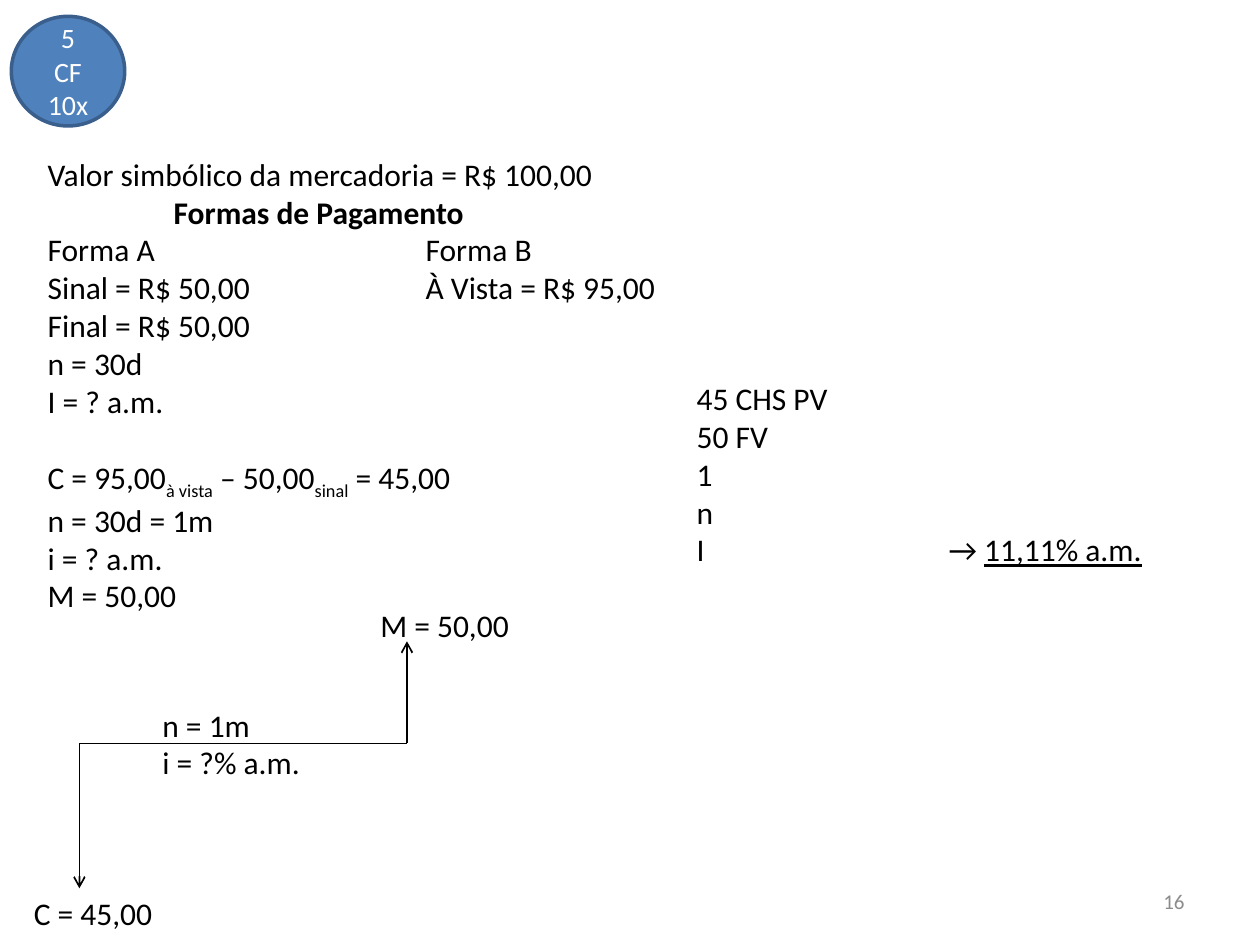
from dataclasses import dataclass

from lxml import etree
from pptx import Presentation
from pptx.dml.color import RGBColor
from pptx.enum.shapes import MSO_CONNECTOR, MSO_SHAPE
from pptx.enum.text import MSO_ANCHOR, PP_ALIGN
from pptx.oxml.ns import qn
from pptx.util import Pt

STRAIGHT = MSO_CONNECTOR.STRAIGHT
ELLIPSE = MSO_SHAPE.OVAL
LEFT, CENTER, RIGHT = PP_ALIGN.LEFT, PP_ALIGN.CENTER, PP_ALIGN.RIGHT
TOP, MIDDLE = MSO_ANCHOR.TOP, MSO_ANCHOR.MIDDLE

EMU_PER_PX = 9144  # 100 px to the inch
FONT = "Calibri"
COLORS = {
    "text": "000000",
    "badge": "4F81BD",
    "badge_line": "3A5F8C",
    "badge_text": "FFFFFF",
    "number": "8C8C8C",
}


@dataclass(frozen=True)
class Span:
    text: str
    bold: bool = False
    underline: bool = False
    subscript: bool = False


@dataclass(frozen=True)
class Line:
    spans: tuple[Span, ...]
    tab: int = 0
    space_before: int = 0


@dataclass(frozen=True)
class TextBlock:
    box: tuple[int, int, int, int]
    lines: tuple[Line, ...]
    size: int = 18
    color: str = "text"
    align: PP_ALIGN = LEFT
    anchor: MSO_ANCHOR = TOP
    wrap: bool = False


@dataclass(frozen=True)
class FlowLine:
    start: tuple[int, int]
    end: tuple[int, int]
    arrow: bool = False


def px(value: int) -> int:
    return value * EMU_PER_PX


def rgb(name: str) -> RGBColor:
    return RGBColor.from_string(COLORS[name])


def plain(*texts: str) -> tuple[Line, ...]:
    return tuple(Line((Span(text),)) for text in texts)


def tabbed(tab: int, *spans: Span) -> Line:
    return Line(spans, tab=tab)


def write_text(text_frame, block: TextBlock) -> None:
    text_frame.word_wrap = block.wrap
    text_frame.vertical_anchor = block.anchor
    for index, line in enumerate(block.lines):
        paragraph = text_frame.add_paragraph() if index else text_frame.paragraphs[0]
        paragraph.alignment = block.align
        if line.space_before:
            paragraph.space_before = Pt(line.space_before)
        if line.tab:
            properties = paragraph._p.get_or_add_pPr()
            tab_list = etree.SubElement(properties, qn("a:tabLst"))
            etree.SubElement(tab_list, qn("a:tab"), pos=str(px(line.tab)), algn="l")
        for span in line.spans:
            run = paragraph.add_run()
            run.text = span.text
            font = run.font
            font.name, font.size = FONT, Pt(block.size)
            font.color.rgb = rgb(block.color)
            font.bold, font.underline = span.bold, span.underline
            if span.subscript:
                run._r.get_or_add_rPr().set("baseline", "-25000")


def add_text(slide, block: TextBlock) -> None:
    shape = slide.shapes.add_textbox(*map(px, block.box))
    write_text(shape.text_frame, block)


def add_badge(slide, block: TextBlock) -> None:
    shape = slide.shapes.add_shape(ELLIPSE, *map(px, block.box))
    shape.shadow.inherit = False
    shape.fill.solid()
    shape.fill.fore_color.rgb = rgb("badge")
    shape.line.color.rgb = rgb("badge_line")
    shape.line.width = Pt(2)
    write_text(shape.text_frame, block)


def add_flow_line(slide, flow: FlowLine) -> None:
    connector = slide.shapes.add_connector(STRAIGHT, *map(px, flow.start + flow.end))
    connector.line.color.rgb = rgb("text")
    connector.line.width = Pt(1)
    if flow.arrow:
        etree.SubElement(connector.line._get_or_add_ln(), qn("a:tailEnd"), type="arrow")
    etree.SubElement(connector._element.spPr, qn("a:effectLst"))


# Problem statement and data
PROBLEM = TextBlock((28, 118, 507, 374), (
    *plain("Valor simbólico da mercadoria = R$ 100,00"),
    tabbed(100, Span("\tFormas de Pagamento", bold=True)),
    tabbed(300, Span("Forma A\tForma B")),
    tabbed(300, Span("Sinal = R$ 50,00\tÀ Vista = R$ 95,00")),
    *plain("Final = R$ 50,00", "n = 30d", "I = ? a.m."),
    Line((
        Span("C = 95,00"),
        Span("à vista", subscript=True),
        Span(" – 50,00"),
        Span("sinal", subscript=True),
        Span(" = 45,00"),
    ), space_before=22),
    *plain("n = 30d = 1m", "i = ? a.m.", "M = 50,00"),
))

# Calculator keystrokes
KEYSTROKES = TextBlock((543, 296, 379, 162), (
    *plain("45 CHS PV", "50 FV", "1", "n"),
    tabbed(200, Span("I\t→ "), Span("11,11% a.m.", underline=True)),
))

# Cash flow diagram
FLOW_START, FLOW_END = (63, 590), (323, 590)
FLOW_LINES = (
    FlowLine(FLOW_START, (63, 705), arrow=True),
    FlowLine(FLOW_START, FLOW_END),
    FlowLine(FLOW_END, (323, 509), arrow=True),
)
FLOW_LABELS = (
    TextBlock((17, 705, 115, 40), plain("C = 45,00")),
    TextBlock((119, 555, 131, 71), plain("n = 1m", "i = ?% a.m.")),
    TextBlock((292, 476, 123, 40), plain("M = 50,00")),
)

# Badge and slide number
BADGE = TextBlock((9, 13, 90, 87), plain("5", "CF", "10x"), size=16,
                  color="badge_text", align=CENTER, anchor=MIDDLE, wrap=True)
NUMBER = TextBlock((717, 695, 233, 40), plain("16"), size=12,
                   color="number", align=RIGHT, anchor=MIDDLE, wrap=True)


def main() -> None:
    presentation = Presentation()
    presentation.slide_width, presentation.slide_height = px(1000), px(750)
    slide = presentation.slides.add_slide(presentation.slide_layouts[6])
    for flow in FLOW_LINES:
        add_flow_line(slide, flow)
    for block in (PROBLEM, *FLOW_LABELS, KEYSTROKES, NUMBER):
        add_text(slide, block)
    add_badge(slide, BADGE)
    presentation.save("out.pptx")


if __name__ == "__main__":
    main()
